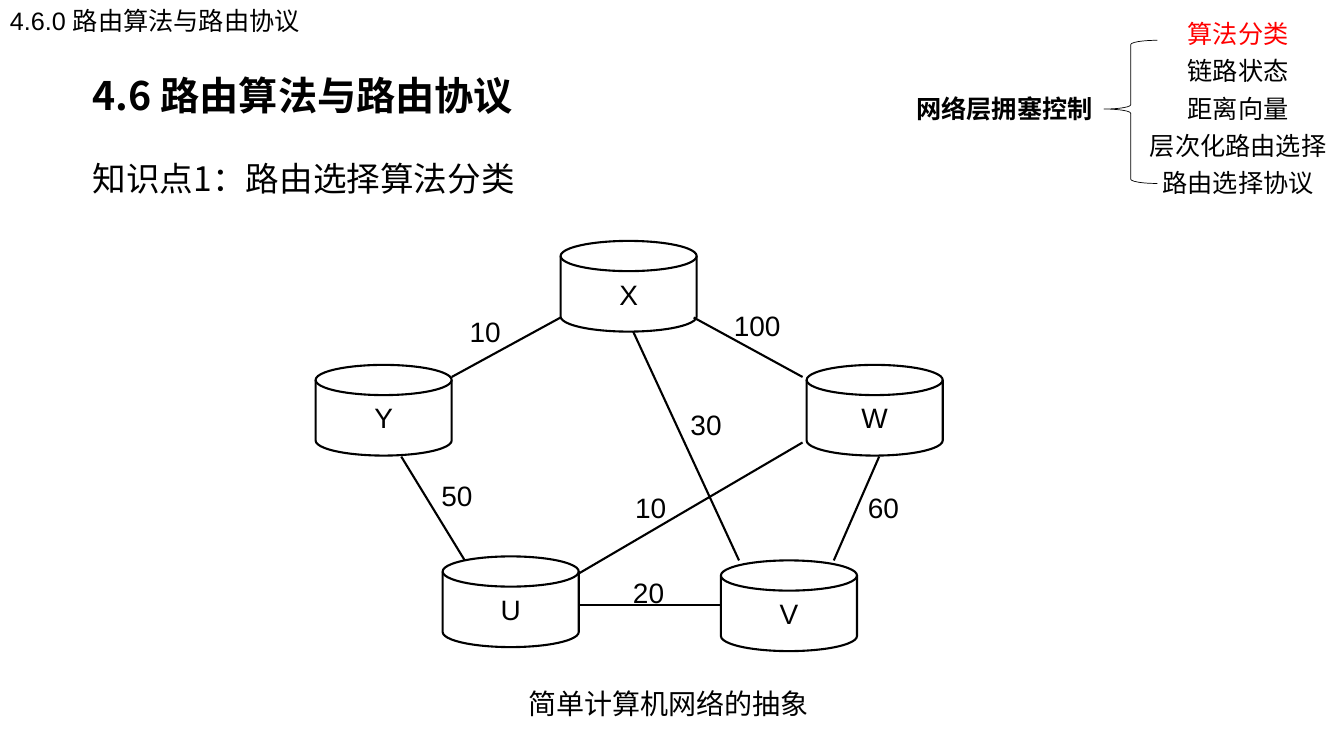
"""Build a slide that abstracts a simple computer network as a weighted graph."""
from lxml.etree import SubElement
from pptx import Presentation
from pptx.dml.color import RGBColor
from pptx.enum.shapes import MSO_CONNECTOR, MSO_SHAPE
from pptx.enum.text import MSO_ANCHOR, MSO_AUTO_SIZE, PP_ALIGN
from pptx.oxml.ns import qn
from pptx.util import Inches, Pt

THEME = {
    "ink": RGBColor(0, 0, 0),
    "accent": RGBColor(255, 0, 0),
    "latin": "Arial",
    "cjk": "Noto Sans CJK SC",
    "title": Pt(28),
    "subtitle": Pt(24),
    "body": Pt(20),
    "small": Pt(18),
    "edge": Pt(1.5),
    "brace": Pt(0.5),
}

TITLE = "4.6 路由算法与路由协议"
SUBTITLE = "知识点1：路由选择算法分类"
CAPTION = "简单计算机网络的抽象"
HEADER = "4.6.0 路由算法与路由协议"
OUTLINE_ROOT = "网络层拥塞控制"
OUTLINE = [("算法分类", 1.21), ("链路状态", 1.21), ("距离向量", 1.21),
           ("层次化路由选择", 1.97), ("路由选择协议", 1.72)]
CURRENT_TOPIC = "算法分类"

ROUTERS = {"X": (5.56, 2.39), "Y": (3.13, 3.62), "W": (8, 3.62),
           "U": (4.39, 5.52), "V": (7.15, 5.56)}
ROUTER_SIZE = (1.35, 0.9)
LINKS = [
    ("10", (5.56, 3.15), (4.48, 3.74), (4.56, 3.07)),
    ("100", (7.96, 3.74), (6.88, 3.15), (7.18, 3.01)),
    ("50", (4.61, 5.56), (3.98, 4.53), (4.28, 4.7)),
    ("10", (7.96, 4.39), (5.74, 5.69), (6.2, 4.82)),
    ("30", (6.28, 3.29), (7.33, 5.56), (6.75, 3.99)),
    ("60", (8.72, 4.53), (8.27, 5.56), (8.51, 4.82)),
    ("20", (7.15, 6), (5.74, 6), (6.18, 5.66)),
]
COST_SIZE = (0.86, 0.44)
TOPIC_CENTER, TOPIC_TOP, TOPIC_STEP, TOPIC_HEIGHT = 12.28, 0.21, 0.37, 0.33


def inches(*lengths):
    return [Inches(length) for length in lengths]


def write(shape, text, size="body", font="latin", color="ink", bold=False,
          frame_format=None, **para_format):
    frame = shape.text_frame
    for name, value in {"word_wrap": True, **(frame_format or {})}.items():
        setattr(frame, name, value)
    para = frame.paragraphs[0]
    for name, value in para_format.items():
        setattr(para, name, value)
    span = para.add_run()
    span.text = text
    for name, value in {"name": THEME[font], "size": THEME[size], "bold": bold}.items():
        setattr(span.font, name, value)
    span.font.color.rgb = THEME[color]
    east_asian = SubElement(span.font._element, qn("a:ea"))
    east_asian.set("typeface", THEME["cjk"])


def add_text(shapes, bounds, text, frame_format=None, **style):
    box = shapes.add_textbox(*inches(*bounds))
    grow = {"auto_size": MSO_AUTO_SIZE.SHAPE_TO_FIT_TEXT}
    write(box, text, frame_format={**grow, **(frame_format or {})}, **style)


def add_outlined(shapes, kind, bounds, width):
    shape = shapes.add_shape(kind, *inches(*bounds))
    shape.shadow.inherit = False
    shape.fill.background()
    shape.line.color.rgb = THEME["ink"]
    shape.line.width = THEME[width]
    return shape


def add_link(shapes, start, end):
    link = shapes.add_connector(MSO_CONNECTOR.STRAIGHT, *inches(*start, *end))
    link.line.color.rgb = THEME["ink"]
    link.line.width = THEME["edge"]
    SubElement(link._element.spPr, qn("a:effectLst"))


def add_headings(shapes):
    side, edge = inches(0.12, 0.06)
    margins = {"margin_left": side, "margin_right": side,
               "margin_top": edge, "margin_bottom": edge}
    add_text(shapes, (0.8, 0.65, 9.65, 0.59), TITLE, margins,
             size="title", font="cjk", bold=True)
    middle = {"vertical_anchor": MSO_ANCHOR.MIDDLE, "auto_size": MSO_AUTO_SIZE.NONE}
    add_text(shapes, (0.8, 1.34, 6.11, 0.66), SUBTITLE, {**margins, **middle},
             size="subtitle", font="cjk", line_spacing=1.5)


def add_network(shapes):
    for name, corner in ROUTERS.items():
        router = add_outlined(shapes, MSO_SHAPE.FLOWCHART_MAGNETIC_DISK,
                              corner + ROUTER_SIZE, "edge")
        write(router, name, alignment=PP_ALIGN.CENTER,
              frame_format={"vertical_anchor": MSO_ANCHOR.MIDDLE})
    for cost, start, end, corner in LINKS:
        add_link(shapes, start, end)
        add_text(shapes, corner + COST_SIZE, cost)


def add_outline(shapes):
    brace = add_outlined(shapes, MSO_SHAPE.LEFT_BRACE, (10.95, 0.4, 0.53, 1.42), "brace")
    brace.adjustments[0] = 0.08
    brace.adjustments[1] = 0.48
    unwrapped = {"word_wrap": False}
    add_text(shapes, (8.99, 0.88, 1.98, 0.4), OUTLINE_ROOT, unwrapped,
             size="small", font="cjk", bold=True)
    for row, (topic, width) in enumerate(OUTLINE):
        bounds = (TOPIC_CENTER - width / 2, TOPIC_TOP + row * TOPIC_STEP,
                  width, TOPIC_HEIGHT)
        add_text(shapes, bounds, topic, unwrapped, size="small", font="cjk",
                 color="accent" if topic == CURRENT_TOPIC else "ink",
                 alignment=PP_ALIGN.CENTER, line_spacing=Pt(16))


def main():
    deck = Presentation()
    deck.slide_width, deck.slide_height = inches(13.33, 7.5)
    page = deck.slides.add_slide(deck.slide_layouts[6])
    add_headings(page.shapes)
    add_network(page.shapes.add_group_shape().shapes)
    add_text(page.shapes, (5.14, 6.76, 4.57, 0.44), CAPTION)
    add_outline(page.shapes.add_group_shape().shapes)
    add_text(page.shapes, (0, 0, 3.57, 0.4), HEADER, size="small")
    deck.save("out.pptx")


if __name__ == "__main__":
    main()
